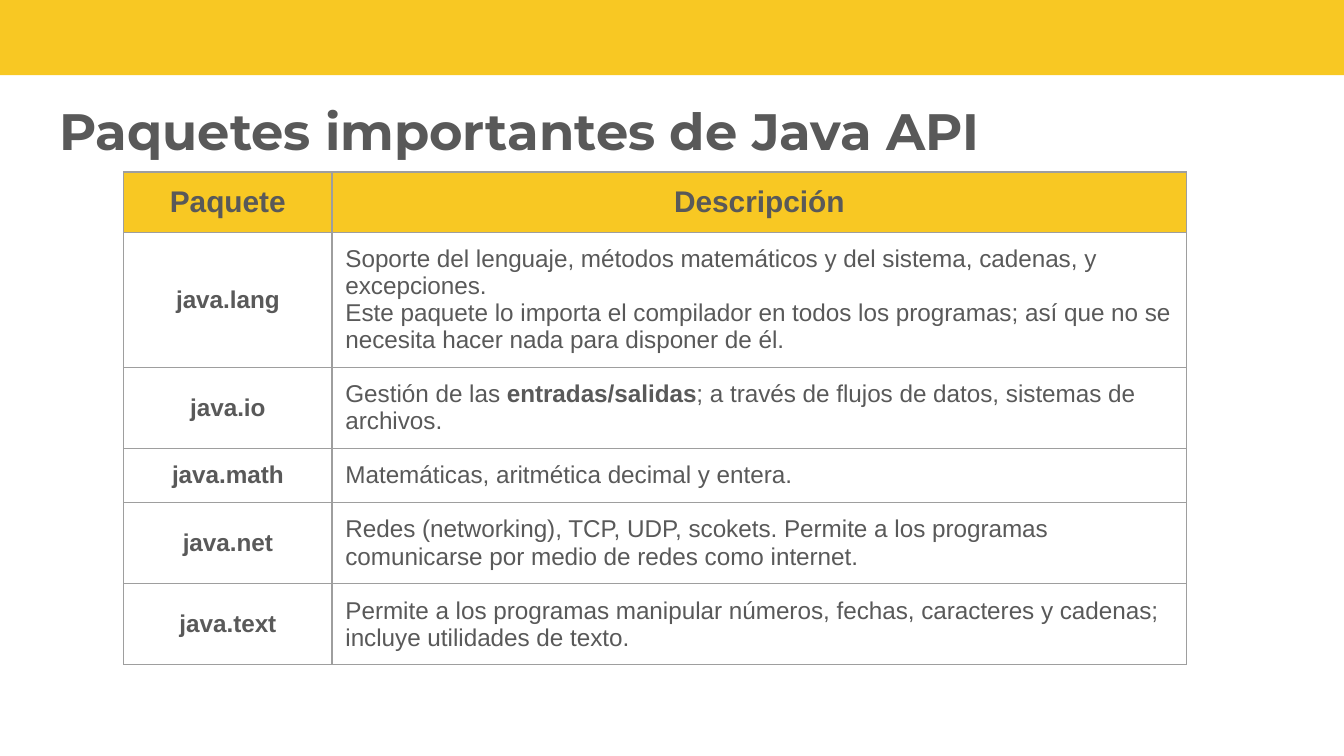
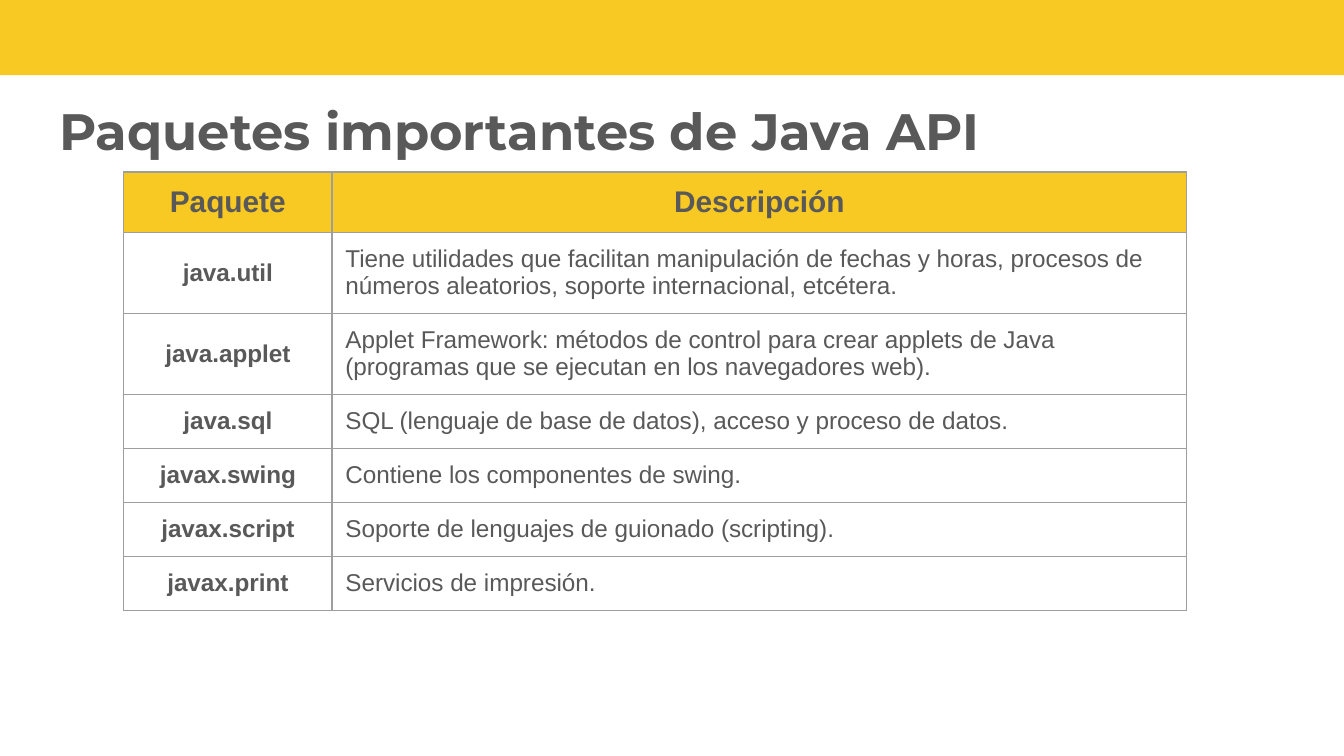
from dataclasses import dataclass

from lxml import etree
from pptx import Presentation
from pptx.dml.color import RGBColor
from pptx.enum.shapes import MSO_SHAPE as Shape
from pptx.enum.text import MSO_ANCHOR as Anchor, PP_ALIGN as Align
from pptx.oxml.ns import qn
from pptx.util import Inches, Pt

# Shared style
PAGE_WIDTH = 10
PAGE_HEIGHT = PAGE_WIDTH * 9 / 16
YELLOW, GRAY, BORDER = "F8C823", "595959", "9E9E9E"
TITLE_FONT, TABLE_FONT = "Montserrat", "Arial"
TITLE = "Paquetes importantes de Java API"
HEADERS = ("Paquete", "Descripción")
COLUMN_WIDTHS = (1.55, 6.36)
ROW_HEIGHT = 0.39
MARGIN = Inches(0.1)
BOLD_MARK = "**"


@dataclass(frozen=True)
class Package:
    name: str
    description: str  # each line is a paragraph; ** encloses bold words
    height: float = ROW_HEIGHT


# One list of packages per slide
PAGES = [
    [
        Package("java.lang",
                "Soporte del lenguaje, métodos matemáticos y del sistema, cadenas, "
                "y excepciones.\n"
                "Este paquete lo importa el compilador en todos los programas; "
                "así que no se necesita hacer nada para disponer de él."),
        Package("java.io",
                "Gestión de las **entradas/salidas**; a través de flujos de datos, "
                "sistemas de archivos."),
        Package("java.math", "Matemáticas, aritmética decimal y entera."),
        Package("java.net",
                "Redes (networking), TCP, UDP, scokets. Permite a los programas "
                "comunicarse por medio de redes como internet."),
        Package("java.text",
                "Permite a los programas manipular números, fechas, caracteres y "
                "cadenas; incluye utilidades de texto."),
    ],
    [
        Package("java.util",
                "Tiene utilidades que facilitan manipulación de fechas y horas, "
                "procesos de números aleatorios, soporte internacional, etcétera."),
        Package("java.applet",
                "Applet Framework: métodos de control para crear applets de Java "
                "(programas que se ejecutan en los navegadores web)."),
        Package("java.sql",
                "SQL (lenguaje de base de datos), acceso y proceso de datos."),
        Package("javax.swing", "Contiene los componentes de swing.", 0.2),
        Package("javax.script", "Soporte de lenguajes de guionado (scripting)."),
        Package("javax.print", "Servicios de impresión."),
    ],
]


def color(value: str) -> RGBColor:
    return RGBColor.from_string(value)


def set_font(font, name: str, size: float, bold: bool) -> None:
    font.name, font.size, font.bold = name, Pt(size), bold
    font.color.rgb = color(GRAY)


def set_margins(box) -> None:
    box.margin_left = box.margin_right = MARGIN
    box.margin_top = box.margin_bottom = MARGIN


def add_band(page) -> None:
    band = page.shapes.add_shape(
        Shape.RECTANGLE, 0, 0, Inches(PAGE_WIDTH), Inches(0.56))
    band.shadow.inherit = False
    band.fill.solid()
    band.fill.fore_color.rgb = color(YELLOW)
    band.line.fill.background()


def set_title(page) -> None:
    title = page.shapes.title
    title.left, title.top = Inches(0.34), Inches(0.65)
    title.width, title.height = Inches(9.3), Inches(0.63)
    frame = title.text_frame
    frame.text = TITLE
    frame.vertical_anchor = Anchor.MIDDLE
    set_margins(frame)
    para = frame.paragraphs[0]
    para.alignment = Align.LEFT
    set_font(para.runs[0].font, TITLE_FONT, 27.4, True)


def add_borders(cell) -> None:
    properties = cell._tc.get_or_add_tcPr()
    for side in ("lnL", "lnR", "lnT", "lnB"):
        line = etree.SubElement(properties, qn(f"a:{side}"), w=str(Pt(0.75)))
        fill = etree.SubElement(line, qn("a:solidFill"))
        etree.SubElement(fill, qn("a:srgbClr"), val=BORDER)


def fill_cell(cell, text: str, size: float, bold: bool = False,
              align: Align = Align.LEFT, anchor: Anchor = Anchor.TOP,
              fill: str | None = None) -> None:
    set_margins(cell)
    cell.vertical_anchor = anchor
    add_borders(cell)
    if fill:
        cell.fill.solid()
        cell.fill.fore_color.rgb = color(fill)
    else:
        cell.fill.background()

    frame = cell.text_frame
    for number, line in enumerate(text.split("\n")):
        para = frame.add_paragraph() if number else frame.paragraphs[0]
        para.alignment = align
        # Odd pieces lie between bold marks
        for index, piece in enumerate(line.split(BOLD_MARK)):
            span = para.add_run()
            span.text = piece
            set_font(span.font, TABLE_FONT, size, bold or index % 2 == 1)


def add_package_table(page, packages: list[Package]) -> None:
    heights = [ROW_HEIGHT] + [package.height for package in packages]
    table = page.shapes.add_table(
        len(heights), len(HEADERS), Inches(0.92), Inches(1.28),
        Inches(sum(COLUMN_WIDTHS)), Inches(sum(heights))).table
    table.first_row = table.horz_banding = False
    for column, width in zip(table.columns, COLUMN_WIDTHS):
        column.width = Inches(width)
    for row, height in zip(table.rows, heights):
        row.height = Inches(height)

    for column, header in enumerate(HEADERS):
        fill_cell(table.cell(0, column), header, 16, bold=True,
                  align=Align.CENTER, fill=YELLOW)
    for row, package in enumerate(packages, start=1):
        fill_cell(table.cell(row, 0), package.name, 13, bold=True,
                  align=Align.CENTER, anchor=Anchor.MIDDLE)
        fill_cell(table.cell(row, 1), package.description, 13)


def main() -> None:
    deck = Presentation()
    deck.slide_width, deck.slide_height = Inches(PAGE_WIDTH), Inches(PAGE_HEIGHT)
    title_only = deck.slide_layouts.get_by_name("Title Only")
    for packages in PAGES:
        page = deck.slides.add_slide(title_only)
        add_band(page)
        set_title(page)
        add_package_table(page, packages)
    deck.save("out.pptx")


if __name__ == "__main__":
    main()
